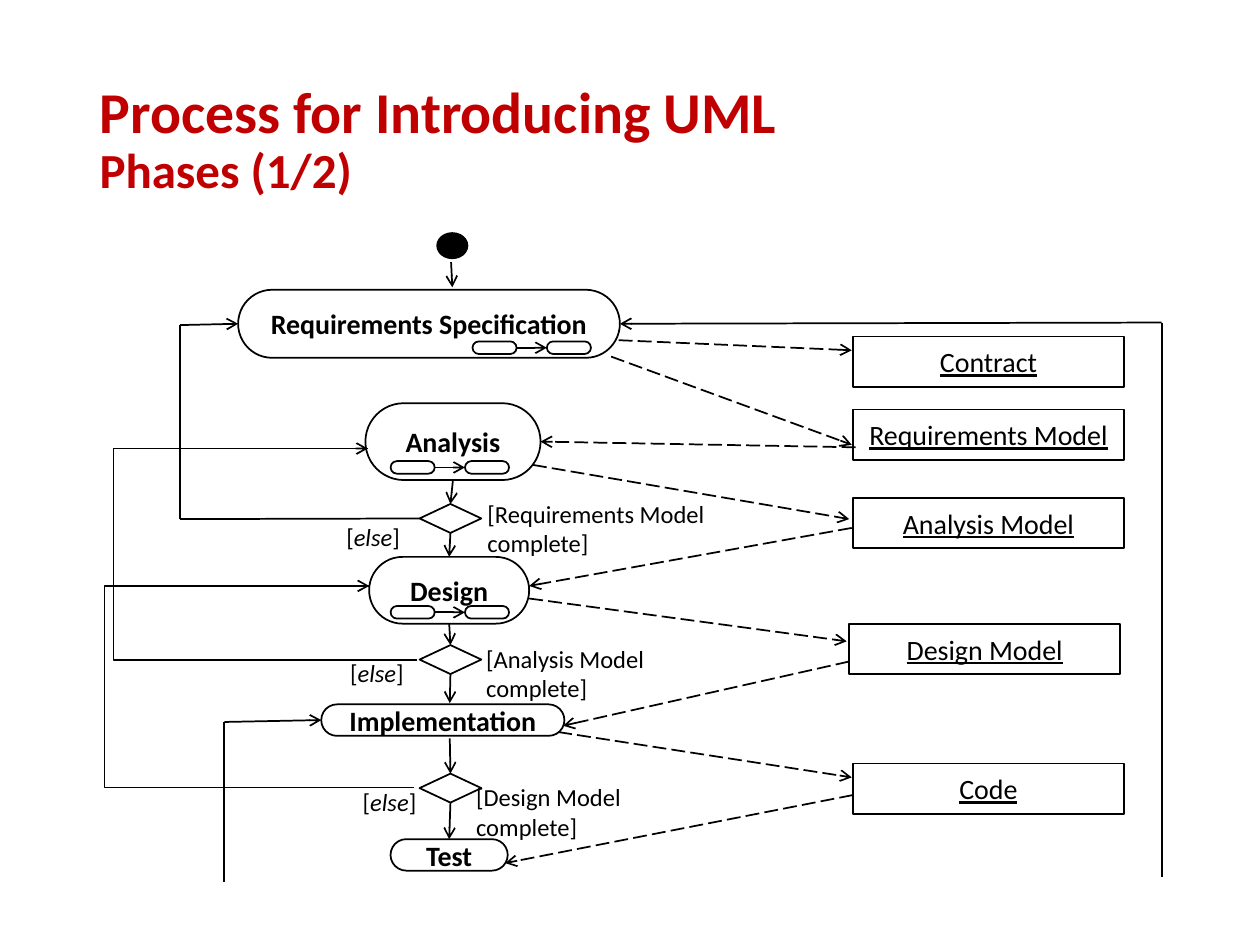
from lxml import etree
from pptx import Presentation
from pptx.dml.color import RGBColor
from pptx.enum.dml import MSO_LINE
from pptx.enum.shapes import MSO_CONNECTOR, MSO_SHAPE as SHAPE
from pptx.enum.text import MSO_ANCHOR, MSO_AUTO_SIZE, PP_ALIGN
from pptx.oxml.ns import qn
from pptx.util import Inches, Pt

COLORS = {"title": "C00000", "ink": "000000"}
INK = RGBColor.from_string(COLORS["ink"])
TITLE_RED = RGBColor.from_string(COLORS["title"])
BODY = {"name": "Calibri", "size": Pt(16)}
PHASE = {**BODY, "bold": True}
OBJECT = {**BODY, "underline": True}
GUARD = {"name": "Calibri", "size": Pt(14)}
TOP, LEFT, BOTTOM, RIGHT = range(4)


def write_run(paragraph, text, color, formats):
    run = paragraph.add_run()
    run.text = text
    run.font.color.rgb = color
    for attribute, value in formats.items():
        setattr(run.font, attribute, value)


def add_flow(start, end, arrow=True, dashed=False):
    """Each end is an (x, y) point or a (shape, side) pair to join."""
    points = [(0, 0) if hasattr(point[0], "shape_id") else point for point in (start, end)]
    flow = slide.shapes.add_connector(
        MSO_CONNECTOR.STRAIGHT, *[Inches(value) for point in points for value in point])
    for point, join in ((start, flow.begin_connect), (end, flow.end_connect)):
        if hasattr(point[0], "shape_id"):
            join(*point)
    flow.line.color.rgb = INK
    flow.line.width = Pt(1)
    if dashed:
        flow.line.dash_style = MSO_LINE.LONG_DASH
    if arrow:
        etree.SubElement(flow.line._get_or_add_ln(), qn("a:tailEnd"), type="arrow")
    etree.SubElement(flow._element.spPr, qn("a:effectLst"))


prs = Presentation()
prs.slide_width, prs.slide_height = Inches(10), Inches(7.5)
slide = prs.slides.add_slide(prs.slide_layouts[5])

# Title
title = slide.shapes.title
title.left, title.top, title.width, title.height = map(Inches, (0.69, 0.4, 8.62, 1.45))
title.text_frame.vertical_anchor = MSO_ANCHOR.MIDDLE
title.text_frame.auto_size = MSO_AUTO_SIZE.NONE
heading = title.text_frame.paragraphs[0]
heading.alignment = PP_ALIGN.LEFT
heading.line_spacing = 0.9
heading_format = {"name": "Calibri", "bold": True}
write_run(heading, "Process for Introducing UML", TITLE_RED, {**heading_format, "size": Pt(33)})
heading.add_line_break()
write_run(heading, "Phases (1/2)", TITLE_RED, {**heading_format, "size": Pt(28)})

# Phases, decisions, object boxes and sub-activity icons
ICON_WIDTH, ICON_STEP = 0.35, 0.59
icon_origins = [(3.75, 2.71), (3.1, 3.66), (3.1, 4.81)]
nodes = [
    ("start", SHAPE.OVAL, (3.47, 1.85, 0.24, 0.2), "", {}),
    ("specification", SHAPE.ROUNDED_RECTANGLE, (1.89, 2.3, 3.03, 0.54),
     "Requirements Specification", PHASE),
    ("analysis", SHAPE.ROUNDED_RECTANGLE, (2.9, 3.2, 1.39, 0.61), "Analysis", PHASE),
    ("design", SHAPE.ROUNDED_RECTANGLE, (2.93, 4.42, 1.27, 0.53), "Design", PHASE),
    ("implementation", SHAPE.ROUNDED_RECTANGLE, (2.55, 5.59, 1.93, 0.25), "Implementation", PHASE),
    ("test", SHAPE.ROUNDED_RECTANGLE, (3.1, 6.66, 0.93, 0.25), "Test", PHASE),
]
nodes += [
    (f"decision {number}", SHAPE.DIAMOND, (3.33, y, 0.49, 0.23), "", {})
    for number, y in enumerate((4, 5.12, 6.14), 1)
]
nodes += [
    (text, SHAPE.RECTANGLE, (x, y, 2.15, 0.4), text, OBJECT)
    for text, x, y in (("Contract", 6.77, 2.67), ("Requirements Model", 6.77, 3.25),
                       ("Analysis Model", 6.77, 3.95), ("Design Model", 6.74, 4.95),
                       ("Code", 6.77, 6.06))
]
nodes += [
    (f"icon {row} {column}", SHAPE.ROUNDED_RECTANGLE,
     (x + column * ICON_STEP, y, ICON_WIDTH, 0.1), "", {})
    for row, (x, y) in enumerate(icon_origins) for column in range(2)
]
placed = {}
for key, kind, box, text, formats in nodes:
    node = placed[key] = slide.shapes.add_shape(kind, *map(Inches, box))
    node.shadow.inherit = False
    node.fill.background()
    node.line.color.rgb = INK
    node.line.width = Pt(1)
    if kind == SHAPE.ROUNDED_RECTANGLE:
        node.adjustments[0] = 0.5
    if text:
        node.text_frame.word_wrap = False
        node.text_frame.vertical_anchor = MSO_ANCHOR.MIDDLE
        label = node.text_frame.paragraphs[0]
        label.alignment = PP_ALIGN.CENTER
        write_run(label, text, INK, formats)
placed["start"].fill.solid()
placed["start"].fill.fore_color.rgb = INK

# Guard labels: paragraphs of (text, italic) runs
otherwise = [[("[", False), ("else", True), ("]", False)]]
guards = [((x, y, 0.67, 0.34), otherwise)
          for x, y in ((2.65, 4.09), (2.68, 5.17), (2.78, 6.2))]
guards += [
    (box, [[(f"[{model} Model", False)], [("complete]", False)]])
    for model, box in (("Requirements", (3.77, 3.91, 2.12, 0.57)),
                       ("Analysis", (3.76, 5.06, 1.56, 0.57)),
                       ("Design", (3.68, 6.16, 1.51, 0.57)))
]
for box, paragraphs in guards:
    frame = slide.shapes.add_textbox(*map(Inches, box)).text_frame
    frame.word_wrap = False
    frame.auto_size = MSO_AUTO_SIZE.SHAPE_TO_FIT_TEXT
    for index, runs in enumerate(paragraphs):
        line = frame.add_paragraph() if index else frame.paragraphs[0]
        for text, italic in runs:
            write_run(line, text, INK, {**GUARD, "italic": italic})

# Control flow down the phases
add_flow((3.58, 2.08), (3.59, 2.28))
for number, (before, after) in enumerate(
        (("analysis", "design"), ("design", None), (None, "test")), 1):
    decision = placed[f"decision {number}"]
    add_flow((placed[before], BOTTOM) if before else (3.57, 5.86), (decision, TOP))
    add_flow((decision, BOTTOM), (placed[after], TOP) if after else (3.57, 5.58))
for row in range(len(icon_origins)):
    add_flow((placed[f"icon {row} 0"], RIGHT), (placed[f"icon {row} 1"], LEFT))

# Object flow between phases and object boxes
object_flows = [
    ((4.91, 2.7), (6.76, 2.78)),
    ((4.85, 2.83), (6.76, 3.53)),
    ((6.79, 3.55), (placed["analysis"], RIGHT)),
    ((4.23, 3.69), (6.74, 4.12)),
    ((6.76, 4.19), (4.2, 4.65)),
    ((4.2, 4.75), (6.72, 5.09)),
    ((6.74, 5.25), (4.47, 5.76)),
    ((4.43, 5.81), (6.76, 6.17)),
    ((6.77, 6.31), (4.01, 6.85)),
]
for source, target in object_flows:
    add_flow(source, target, dashed=True)

# Return loops to earlier phases
for right, bottom, left, top, end in ((3.31, 5.24, 0.9, 3.56, 2.92),
                                      (3.29, 6.25, 0.83, 4.65, 2.93)):
    builder = slide.shapes.build_freeform(Inches(right), Inches(bottom))
    builder.add_line_segments(
        [(Inches(x), Inches(y)) for x, y in ((left, bottom), (left, top), (end, top))],
        close=False)
    loop = builder.convert_to_shape()
    loop.shadow.inherit = False
    loop.fill.background()
    loop.line.color.rgb = INK
    loop.line.width = Pt(1)
    add_flow((end - 0.17, top), (end, top))

add_flow((placed["decision 1"], LEFT), (1.43, 4.12), arrow=False)
add_flow((1.43, 4.12), (1.43, 2.58), arrow=False)
add_flow((1.43, 2.58), (placed["specification"], LEFT))
add_flow((1.78, 7), (1.78, 5.73), arrow=False)
add_flow((1.78, 5.73), (placed["implementation"], LEFT))
add_flow((9.22, 6.96), (9.22, 2.56), arrow=False)
add_flow((9.22, 2.56), (placed["specification"], RIGHT))

prs.save("out.pptx")
